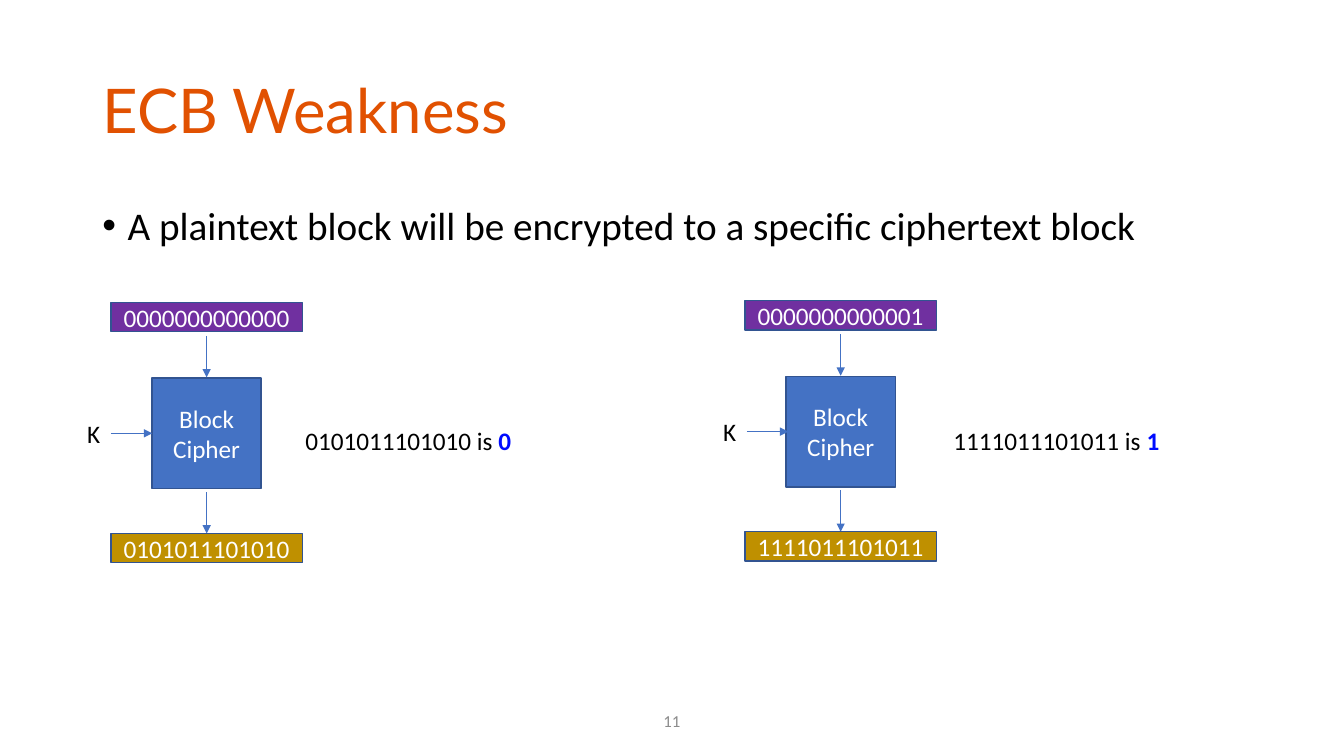
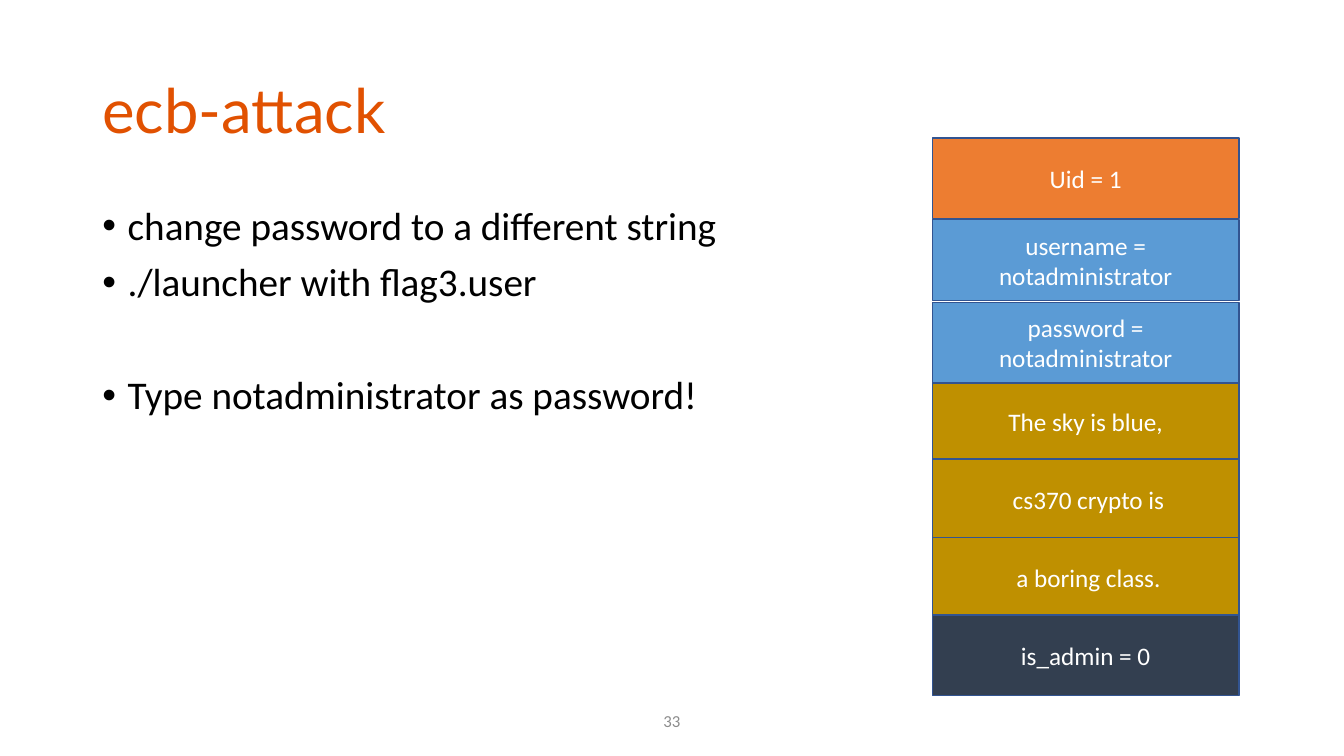
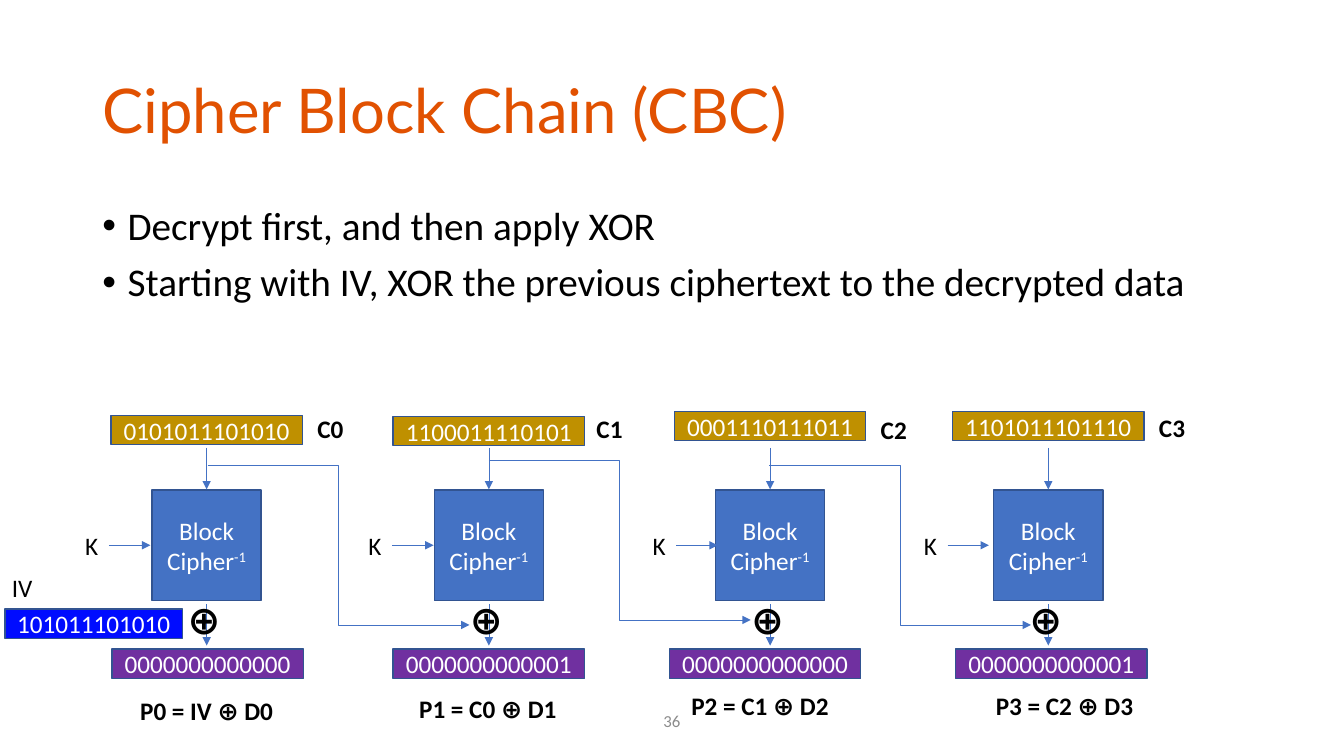
from pptx import Presentation
from pptx import util as u
from pptx.dml.color import RGBColor
from pptx.enum import shapes, text
from pptx.oxml import parse_xml
from pptx.oxml.ns import nsdecls

Pt = u.Pt
COLORS = {
    "title": "E15101", "black": "000000", "white": "FFFFFF", "gray": "8C8C8C",
    "purple": "7030A0", "blue": "4472C4", "gold": "BF9000", "outline": "325491",
    "bright": "000CFF", "orange": "ED7D31", "sky": "5B9BD5", "navy": "333F50",
}
LEFT, CENTER = text.PP_ALIGN.LEFT, text.PP_ALIGN.CENTER
MIDDLE = text.MSO_ANCHOR.MIDDLE

# Shared text formats
TITLE = dict(name="Lato", size=Pt(44), color="title")
BODY = dict(name="Calibri", size=Pt(28), color="black")
LABEL = dict(BODY, size=Pt(18))
BOLD = dict(LABEL, bold=True)
XOR = dict(BODY, bold=True)
ON_FILL = dict(LABEL, color="white")
NUMBER = dict(LABEL, size=Pt(12), color="gray")

# Shared sizes of the cipher diagrams
BAR_W, BAR_H = 136.8, 21
CIPHER_W, CIPHER_H = 78, 79
ARROW = 29.6


def rgb(name):
    return RGBColor.from_string(COLORS[name])


def set_attrs(obj, values):
    for key, value in values.items():
        setattr(obj, key, value)


def add_run(p, words, fmt, superscript=False):
    r = p.add_run()
    r.text = words
    values = dict(fmt)
    r.font.color.rgb = rgb(values.pop("color"))
    set_attrs(r.font, values)
    if superscript:
        r._r.get_or_add_rPr().set("baseline", "30000")
    return r


def write(tf, lines, fmt, **para):
    """Write one paragraph per line, with paragraph attributes from para."""
    for i, line in enumerate(lines):
        p = tf.paragraphs[0] if i == 0 else tf.add_paragraph()
        set_attrs(p, para)
        add_run(p, line, fmt)


def place(sp, x, y, w, h):
    set_attrs(sp, dict(left=Pt(x), top=Pt(y), width=Pt(w), height=Pt(h)))


def box(s, x, y, w, h, fill, *lines):
    sp = s.shapes.add_shape(shapes.MSO_SHAPE.RECTANGLE, Pt(x), Pt(y), Pt(w), Pt(h))
    sp.shadow.inherit = False
    sp.fill.solid()
    sp.fill.fore_color.rgb = rgb(fill)
    sp.line.color.rgb = rgb("outline")
    sp.line.width = Pt(1)
    set_attrs(sp.text_frame, dict(word_wrap=True, vertical_anchor=MIDDLE))
    write(sp.text_frame, lines, ON_FILL, alignment=CENTER)
    return sp


def label(s, x, y, w, words, fmt=LABEL, h=29, wrap=False):
    tf = s.shapes.add_textbox(Pt(x), Pt(y), Pt(w), Pt(h)).text_frame
    tf.word_wrap = wrap
    write(tf, [words], fmt)
    return tf


def arrow(s, x1, y1, x2, y2, kind=shapes.MSO_CONNECTOR.STRAIGHT):
    cn = s.shapes.add_connector(kind, Pt(x1), Pt(y1), Pt(x2), Pt(y2))
    cn.line.color.rgb = rgb("blue")
    cn.line.width = Pt(0.5)
    cn.line._get_or_add_ln().append(
        parse_xml(f'<a:tailEnd {nsdecls("a")} type="triangle"/>'))
    cn._element.spPr.append(parse_xml(f'<a:effectLst {nsdecls("a")}/>'))


def new_slide(prs, title, number, bullets):
    s = prs.slides.add_slide(prs.slide_layouts[1])
    # Title
    sp = s.shapes.title
    place(sp, 66, 28.75, 828, 104.4)
    set_attrs(sp.text_frame, dict(vertical_anchor=MIDDLE,
                                  auto_size=text.MSO_AUTO_SIZE.NONE))
    write(sp.text_frame, [title], TITLE, alignment=LEFT, line_spacing=0.9)
    # Bullet list
    sp = s.placeholders[1]
    place(sp, 66, 144, 828, 342.6)
    sp.text_frame.auto_size = text.MSO_AUTO_SIZE.NONE
    write(sp.text_frame, bullets, BODY, line_spacing=0.9, space_before=Pt(10))
    for p in sp.text_frame.paragraphs:
        pPr = p._p.get_or_add_pPr()
        pPr.set("marL", str(Pt(18)))
        pPr.set("indent", str(Pt(-18)))
    # Slide number
    tf = label(s, 372, 500.5, 216, number, NUMBER, wrap=True)
    tf.vertical_anchor = MIDDLE
    tf.paragraphs[0].alignment = CENTER
    return s


def bar(s, cx, y, fill, bits):
    box(s, cx - BAR_W / 2, y, BAR_W, BAR_H, fill, bits)


def cipher(s, cx, top, key_x, inverse=False):
    """Draw a block cipher with its key and its arrows in and out."""
    sp = box(s, cx - CIPHER_W / 2, top, CIPHER_W, CIPHER_H, "blue", "Block", "Cipher")
    if inverse:
        add_run(sp.text_frame.paragraphs[1], "-1", ON_FILL, superscript=True)
    arrow(s, cx, top - ARROW - 0.4, cx, top - 0.4)
    arrow(s, cx, top + 81.5, cx, top + 81.5 + ARROW)
    key_y = top + CIPHER_H / 2
    label(s, key_x - 24, key_y - 14.4, 23.8, "K")
    arrow(s, key_x, key_y, key_x + ARROW, key_y)


def weakness_slide(prs):
    s = new_slide(prs, "ECB Weakness", "11",
                  ["A plaintext block will be encrypted to a specific ciphertext block"])
    # cx, cipher top, key x, note x, plaintext, ciphertext, meaning
    blocks = [
        (147.6, 270, 79.2, 211, "0000000000000", "0101011101010", "0"),
        (600.5, 268.8, 533.5, 674, "0000000000001", "1111011101011", "1"),
    ]
    for cx, top, key_x, note_x, plain, coded, meaning in blocks:
        bar(s, cx, top - 54, "purple", plain)
        cipher(s, cx, top, key_x)
        bar(s, cx, top + 111, "gold", coded)
        tf = label(s, note_x, 300.2, 256.3, f"{coded} is ", wrap=True)
        add_run(tf.paragraphs[0], meaning, dict(BOLD, color="bright"))


def attack_slide(prs):
    s = new_slide(prs, "ecb-attack", "33", [
        "change password to a different string",
        "./launcher with flag3.user",
        "Type notadministrator as password!",
    ])
    s.placeholders[1].text_frame.paragraphs[2].space_before = Pt(50.5)
    # Stack of data blocks
    fields = [
        (98.6, "orange", "Uid = 1"),
        (157, "sky", "username = notadministrator"),
        (272, "gold", "The sky is blue,"),
        (328, "gold", " cs370 crypto is"),
        (383.8, "gold", " a boring class."),
        (439.2, "navy", "is_admin = 0"),
        (216, "sky", "password = notadministrator"),
    ]
    for y, fill, words in fields:
        box(s, 666, y, 219, 57.6, fill, words)


def chain_slide(prs):
    s = new_slide(prs, "Cipher Block Chain (CBC)", "36", [
        "Decrypt first, and then apply XOR",
        "Starting with IV, XOR the previous ciphertext to the decrypted data",
    ])
    # cx, key x, ciphertext y, ciphertext, plaintext cx, plaintext
    blocks = [
        (147.6, 77.8, 296.6, "0101011101010", 148.3, "0000000000000"),
        (349.2, 280.1, 297.4, "1100011110101", 349.2, "0000000000001"),
        (550.1, 483.1, 293.8, "0001110111011", 546.5, "0000000000000"),
        (748.8, 676.8, 293.8, "1101011101110", 751, "0000000000001"),
    ]
    for cx, key_x, y, coded, plain_cx, plain in blocks:
        cipher(s, cx, 350, key_x, inverse=True)
        bar(s, cx, y, "gold", coded)
        bar(s, plain_cx, 463.7, "purple", plain)
        label(s, cx - 20.6, 422, 38.9, "⊕", XOR, h=41, wrap=True)

    # Initial vector
    box(s, 3.6, 435, 126.7, BAR_H, "bright", "101011101010")
    label(s, 1.4, 405.4, 29.5, "IV")

    # Each ciphertext feeds the next XOR
    for x, y in [(148.3, 332.6), (349.2, 329), (549.4, 332.6)]:
        arrow(s, x, y, x + 187, y + 113.8, shapes.MSO_CONNECTOR.ELBOW)

    # Block names and formulas
    names = [(219.6, 291.6), (419, 291.6), (622, 292.3), (820.8, 291)]
    formulas = [(93, 493.2), (292.3, 491.8), (486.7, 489.6), (704.2, 489.6)]
    for i, ((nx, ny), (fx, fy)) in enumerate(zip(names, formulas)):
        label(s, nx, ny, 33, f"C{i}", BOLD)
        previous = f"C{i - 1}" if i else "IV"
        label(s, fx, fy, 116.6 if i else 113.8, f"P{i} = {previous} ⊕ D{i}", BOLD)


def main():
    prs = Presentation()
    set_attrs(prs, dict(slide_width=Pt(960), slide_height=Pt(540)))
    weakness_slide(prs)
    attack_slide(prs)
    chain_slide(prs)
    prs.save("out.pptx")


if __name__ == "__main__":
    main()
